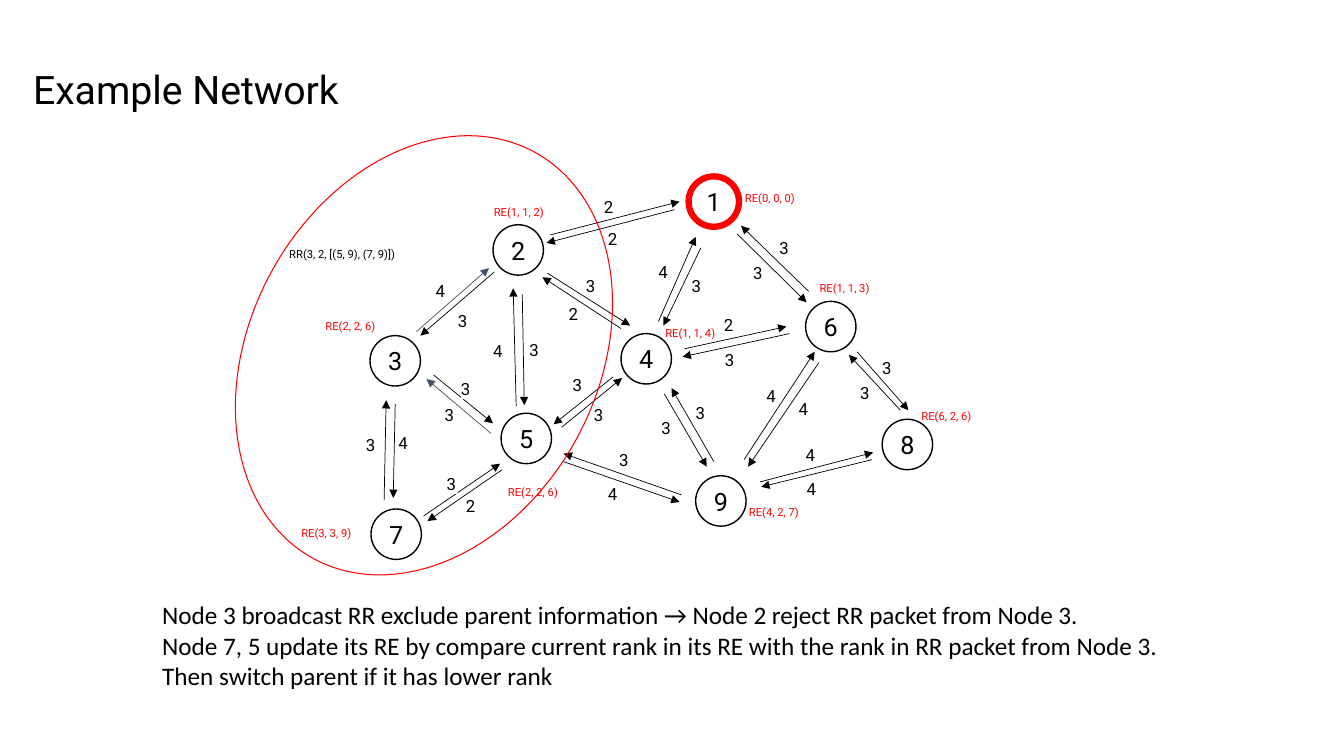
from pptx import Presentation, util as u
from pptx.dml.color import RGBColor
from pptx.enum import shapes, text
from pptx.oxml import parse_xml
from pptx.oxml.ns import nsdecls, qn

Inches, Pt = u.Inches, u.Pt
BLACK, WHITE, RED, SLATE = "000000", "FFFFFF", "FF0000", "44546A"


def color(value):
    return RGBColor.from_string(value)


def write(sp, content, size=12, font="Roboto", fill=BLACK, align=None,
          anchor=text.MSO_ANCHOR.MIDDLE, wrap=False, margin=None, grow=True):
    tf = sp.text_frame
    tf.word_wrap = wrap
    tf.vertical_anchor = anchor
    tf.auto_size = (text.MSO_AUTO_SIZE.SHAPE_TO_FIT_TEXT if grow
                    else text.MSO_AUTO_SIZE.NONE)
    if margin is not None:
        tf.margin_left = tf.margin_right = Inches(margin)
        tf.margin_top = tf.margin_bottom = Inches(margin)
    for i, line in enumerate(content.split("\n")):
        p = tf.add_paragraph() if i else tf.paragraphs[0]
        p.alignment = align or text.PP_ALIGN.LEFT
        r = p.add_run()
        r.text = line
        r.font.size, r.font.name = Pt(size), font
        r.font.color.rgb = color(fill)


class Canvas:
    def __init__(self, prs):
        self.slide = prs.slides.add_slide(prs.slide_layouts[6])
        self.shapes = self.slide.shapes
        self.node_size, self.label_size = 0.5, (0.11, 0.2)

    def shape(self, kind, x, y, w, h, fill=None, line=None, width=1):
        sp = self.shapes.add_shape(kind, Inches(x), Inches(y), Inches(w), Inches(h))
        sp.shadow.inherit = False
        if fill:
            sp.fill.solid()
            sp.fill.fore_color.rgb = color(fill)
        else:
            sp.fill.background()
        if line:
            sp.line.color.rgb = color(line)
            sp.line.width = Pt(width)
        else:
            sp.line.fill.background()
        return sp

    def node(self, name, x, y, line=BLACK, width=1):
        sp = self.shape(shapes.MSO_SHAPE.OVAL, x, y, self.node_size, self.node_size,
                        WHITE, line, width)
        write(sp, name, size=18, align=text.PP_ALIGN.CENTER, wrap=True,
              margin=0, grow=False)

    def arrow(self, x1, y1, x2, y2, line=BLACK):
        cx = self.shapes.add_connector(shapes.MSO_CONNECTOR.STRAIGHT, Inches(x1),
                                       Inches(y1), Inches(x2), Inches(y2))
        cx.line.color.rgb = color(line)
        cx.line.width = Pt(0.5)
        cx.line._get_or_add_ln().append(
            parse_xml(f'<a:tailEnd {nsdecls("a")} type="triangle"/>'))
        cx._element.find(qn("p:spPr")).append(
            parse_xml(f'<a:effectLst {nsdecls("a")}/>'))

    def cost(self, value, x, y, w=None):
        width, height = self.label_size
        sp = self.shape(shapes.MSO_SHAPE.RECTANGLE, x, y, w or width, height, WHITE)
        write(sp, str(value), margin=0, wrap=w is not None)

    def textbox(self, content, x, y, w, h, **style):
        sp = self.shapes.add_textbox(Inches(x), Inches(y), Inches(w), Inches(h))
        write(sp, content, **style)


prs = Presentation()
prs.slide_width, prs.slide_height = Inches(13.33), Inches(7.5)
s = Canvas(prs)

# Network diagram, kept together as one group
s.shapes = s.slide.shapes.add_group_shape().shapes

# Nodes; node 1 is the root
s.node("1", 6.83, 1.75, RED, 4.5)
for name, x, y in [("4", 6.16, 3.31), ("3", 3.67, 3.33), ("7", 3.68, 5.05),
                   ("5", 4.97, 4.1), ("6", 7.99, 2.99), ("9", 6.9, 4.72),
                   ("8", 8.75, 4.16), ("2", 4.89, 2.23)]:
    s.node(name, x, y)

# Links: one pair of opposite arrows per row, tip at the second point
links = [
    ((5.46, 2.33, 6.74, 2), (6.69, 2.08, 5.42, 2.41)),
    ((4.13, 3.29, 4.85, 2.66, SLATE), (4.9, 2.7, 4.17, 3.33)),
    ((3.81, 4.96, 3.83, 3.97), (3.92, 4.01, 3.9, 4.94)),
    ((4.87, 4.3, 4.23, 3.76, SLATE), (4.3, 3.72, 4.89, 4.2)),
    ((5.43, 2.71, 6.25, 3.23), (6.16, 3.26, 5.38, 2.75)),
    ((6.53, 3.19, 6.9, 2.35), (6.95, 2.46, 6.58, 3.23)),
    ((7.31, 2.32, 8, 3), (8.02, 2.89, 7.35, 2.24)),
    ((6.08, 3.74, 5.49, 4.21), (5.57, 4.24, 6.17, 3.75)),
    ((6.79, 3.46, 7.8, 3.24), (7.83, 3.31, 6.77, 3.54)),
    ((8.5, 3.49, 9.01, 4.07), (8.93, 4.07, 8.42, 3.52)),
    ((8.65, 4.56, 7.55, 4.83), (7.54, 4.78, 8.66, 4.49)),
    ((7.08, 4.58, 6.66, 3.85), (6.59, 3.91, 7.01, 4.63)),
    ((6.76, 4.91, 5.59, 4.5), (5.59, 4.58, 6.74, 4.98)),
    ((4.2, 5.12, 4.96, 4.6), (4.98, 4.66, 4.24, 5.17)),
    ((7.38, 4.56, 8.08, 3.49), (8.12, 3.6, 7.42, 4.63)),
    ((5.12, 4.03, 5.09, 2.86), (5.18, 2.92, 5.2, 4.02)),
]
for pair in links:
    for ends in pair:
        s.arrow(*ends)

# Link costs, by value; a third number is a special width
costs = {
    2: [(5.99, 1.95), (5.64, 3.01), (7.18, 3.12), (4.62, 4.92), (6.03, 2.27)],
    3: [(5.68, 3.72, 0.15), (3.63, 4.31), (4.54, 3.08), (7.73, 2.36),
        (7.47, 2.61), (6.9, 4), (6.14, 4.46), (4.43, 4.7), (6.86, 2.74),
        (8.75, 3.55), (8.53, 3.8), (5.89, 4.02, 0.18), (4.57, 3.76),
        (4.41, 4.02), (5.25, 3.37), (5.81, 2.74), (7.19, 3.47), (6.56, 4.14)],
    4: [(6.53, 2.6), (4.32, 2.79), (7.99, 4.41), (3.95, 4.29), (7.6, 3.83),
        (7.92, 3.96), (6.03, 4.8, 0.09), (4.89, 3.38), (8, 4.75)],
}
for value, places in costs.items():
    for place in places:
        s.cost(value, *place)

# Broadcast range of node 3
s.shapes = s.slide.shapes
area = s.shape(shapes.MSO_SHAPE.OVAL, 2.48, 1.23, 3.45, 4.59, line=RED, width=0.75)
area.rotation = 28.5

# Packet and routing entries
s.textbox("RR(3, 2, [(5, 9), (7, 9)])", 2.77, 2.4, 1.6, 0.24, size=8)
for entry, x, y in [("1, 1, 3", 8.03, 2.74), ("1, 1, 2", 4.8, 1.98),
                    ("0, 0, 0", 7.29, 1.84), ("2, 2, 6", 3.13, 3.11),
                    ("2, 2, 6", 4.94, 4.76), ("4, 2, 7", 7.33, 4.96),
                    ("6, 2, 6", 9.04, 4.01), ("3, 3, 9", 2.89, 5.17),
                    ("1, 1, 4", 6.5, 3.18)]:
    s.textbox(f"RE({entry})", x, y, 0.83, 0.24, size=8, fill=RED)

# Title and explanation
s.textbox("Example Network", 0.23, 0.6, 3.67, 0.57, size=28)
s.textbox("Node 3 broadcast RR exclude parent information → "
          "Node 2 reject RR packet from Node 3.\n"
          "Node 7, 5 update its RE by compare current rank in its RE with the rank "
          "in RR packet from Node 3. Then switch parent if it has lower rank",
          1.51, 5.9, 10.37, 1.01, size=18, font="Calibri",
          anchor=text.MSO_ANCHOR.TOP, wrap=True)

prs.save("out.pptx")
